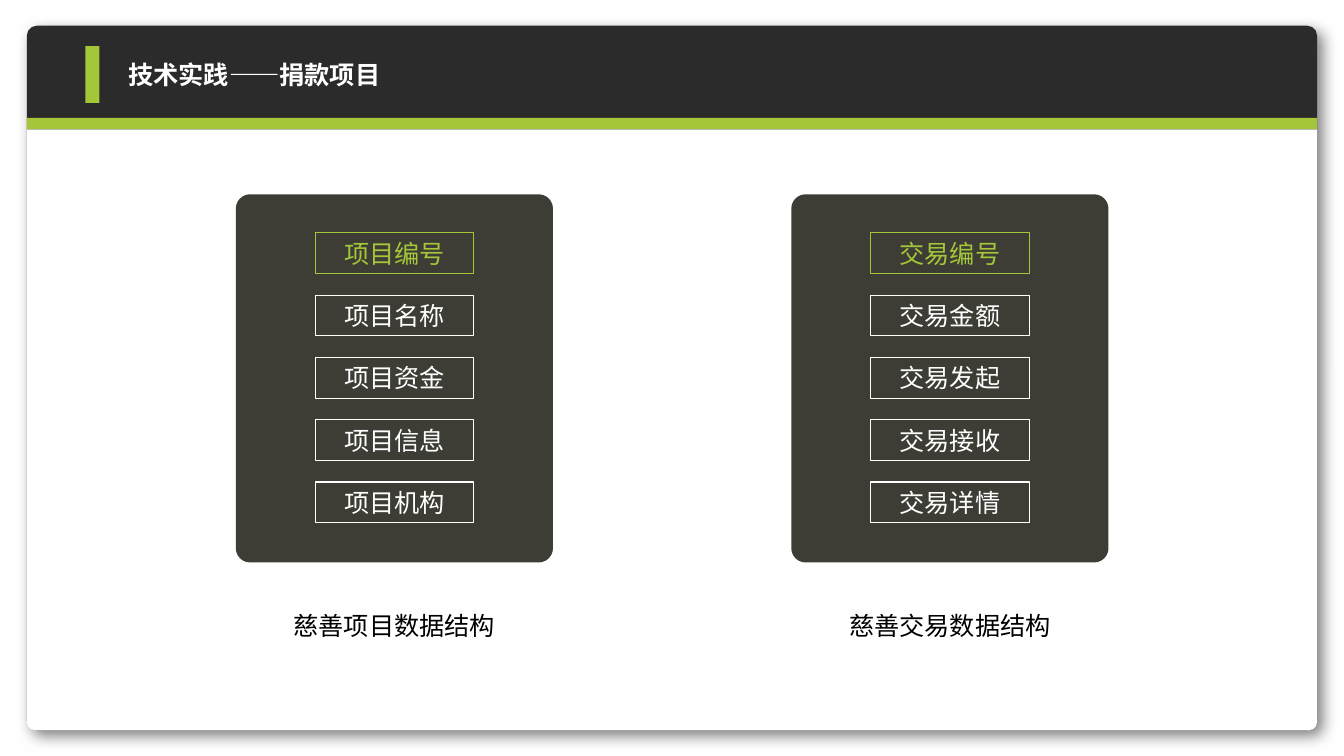
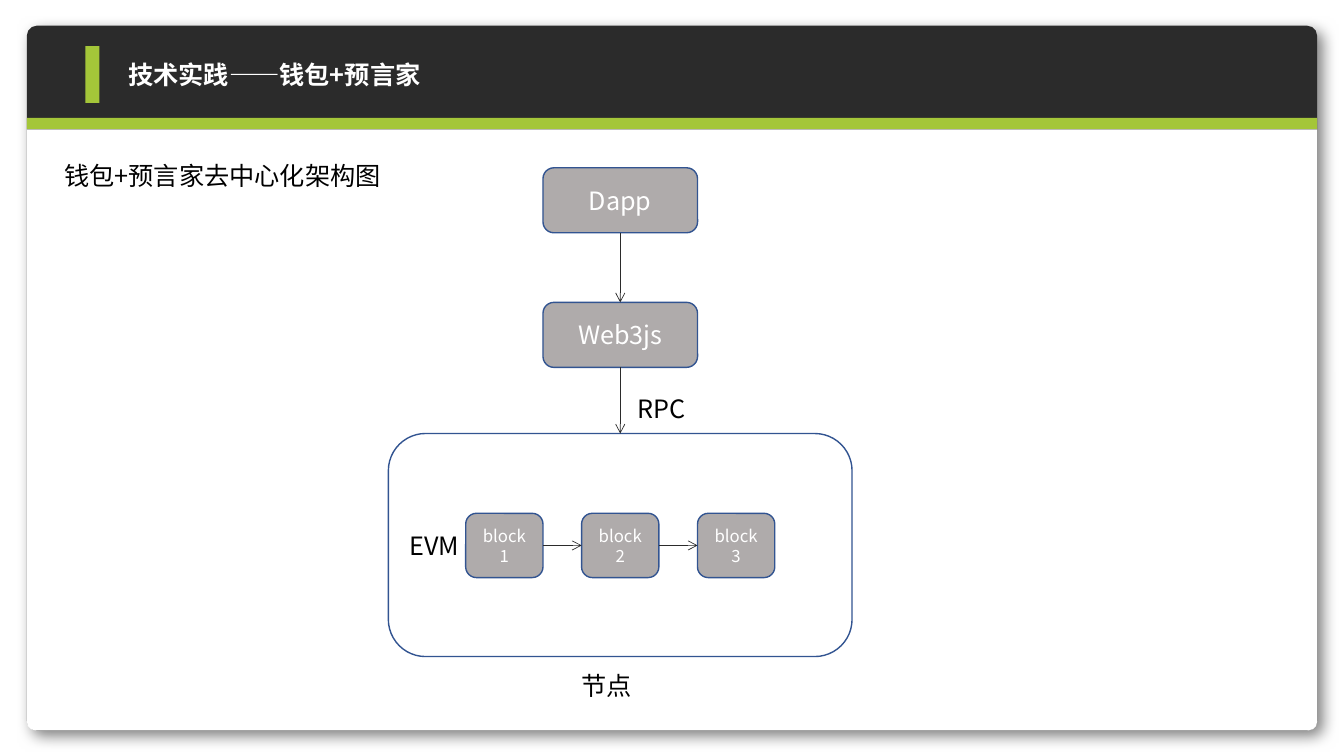
from dataclasses import dataclass
from typing import Optional

from lxml import etree
from pptx import Presentation
from pptx import util as u
from pptx.dml.color import RGBColor
from pptx.enum import shapes, text
from pptx.oxml import ns

FONT = "Noto Sans CJK SC"
WHITE = RGBColor(0xFF, 0xFF, 0xFF)
BLACK = RGBColor(0x00, 0x00, 0x00)
COAL = RGBColor(0x2B, 0x2B, 0x2B)
LIME = RGBColor(0xA4, 0xC6, 0x39)
OLIVE = RGBColor(0x3D, 0x3D, 0x36)
GREY = RGBColor(0xAF, 0xAB, 0xAB)
BLUE = RGBColor(0x32, 0x54, 0x91)

WIDE, HIGH = u.Inches(13.333), u.Inches(7.5)
RECT = shapes.MSO_SHAPE.RECTANGLE
ROUND = shapes.MSO_SHAPE.ROUNDED_RECTANGLE
FOOT = shapes.MSO_SHAPE.ROUND_2_SAME_RECTANGLE
LEFT, MID = text.PP_ALIGN.LEFT, text.PP_ALIGN.CENTER
TOP, BASE, SIDE, END = 0, 2, 1, 3


@dataclass(frozen=True)
class Box:
    """Shares of the slide, in percent."""
    x: float
    y: float
    w: float
    h: float

    def place(self) -> tuple:
        return (int(WIDE * self.x / 100), int(HIGH * self.y / 100),
                int(WIDE * self.w / 100), int(HIGH * self.h / 100))


@dataclass(frozen=True)
class Look:
    kind: shapes.MSO_SHAPE = RECT
    fill: Optional[RGBColor] = None
    line: Optional[RGBColor] = None
    width: float = 0.75
    adj: tuple = ()


@dataclass(frozen=True)
class Type:
    color: RGBColor = BLACK
    size: int = 18
    align: text.PP_ALIGN = LEFT
    bold: bool = False


@dataclass(frozen=True)
class Model:
    x: float
    name: str
    fields: tuple


CARD = Look(ROUND, OLIVE, adj=(0.045,))
NODE = Look(ROUND, GREY, BLUE, 1)
HULL = Look(ROUND, None, BLUE, 1)
PLAIN = Type()
NOTE = Type(align=MID)
LABEL = Type(WHITE, align=MID)
SMALL = Type(WHITE, 12, MID)
HEAD = Type(WHITE, bold=True)

MODELS = (
    Model(17.55, "慈善项目数据结构",
          ("项目编号", "项目名称", "项目资金", "项目信息", "项目机构")),
    Model(58.88, "慈善交易数据结构",
          ("交易编号", "交易金额", "交易发起", "交易接收", "交易详情")),
)


def write(frame, words: str, kind: Type) -> None:
    frame.word_wrap = True
    frame.vertical_anchor = text.MSO_ANCHOR.MIDDLE
    para = frame.paragraphs[0]
    para.text = words
    para.alignment = kind.align
    font = para.font
    font.name, font.size, font.bold = FONT, u.Pt(kind.size), kind.bold
    font.color.rgb = kind.color
    base = para._p.pPr.find(ns.qn("a:defRPr"))
    etree.SubElement(base, ns.qn("a:ea"), typeface=FONT)


def draw(slide, box: Box, look: Look, words: str = "", kind: Type = LABEL):
    shape = slide.shapes.add_shape(look.kind, *box.place())
    shape.shadow.inherit = False
    for i, value in enumerate(look.adj):
        shape.adjustments[i] = value
    if look.fill is None:
        shape.fill.background()
    else:
        shape.fill.solid()
        shape.fill.fore_color.rgb = look.fill
    if look.line is None:
        shape.line.fill.background()
    else:
        shape.line.color.rgb = look.line
        shape.line.width = u.Pt(look.width)
    if words:
        write(shape.text_frame, words, kind)
    return shape


def label(slide, box: Box, words: str, kind: Type = PLAIN) -> None:
    write(slide.shapes.add_textbox(*box.place()).text_frame, words, kind)


def arrow(slide, start, exit: int, stop, entry: int) -> None:
    link = slide.shapes.add_connector(
        shapes.MSO_CONNECTOR.STRAIGHT, 0, 0, 0, 0)
    link.begin_connect(start, exit)
    link.end_connect(stop, entry)
    link.line.color.rgb = COAL
    link.line.width = u.Pt(0.5)
    props = link.element.spPr
    etree.SubElement(props.find(ns.qn("a:ln")), ns.qn("a:tailEnd"),
                     type="arrow")
    etree.SubElement(props, ns.qn("a:effectLst"))


def shade(shape) -> None:
    glow = shape.element.spPr.find(ns.qn("a:effectLst"))
    cast = etree.SubElement(
        glow, ns.qn("a:outerShdw"), blurRad=str(u.Pt(11)),
        dist=str(u.Pt(6)), dir="2700000", algn="tl", rotWithShape="0")
    tone = etree.SubElement(cast, ns.qn("a:srgbClr"), val=str(COAL and BLACK))
    etree.SubElement(tone, ns.qn("a:alpha"), val="50000")


def dress(slide, layout) -> None:
    card = draw(slide, Box(2, 3.4, 96, 93.2), Look(ROUND, COAL, adj=(0.014,)))
    shade(card)
    parts = (
        card,
        draw(slide, Box(2, 15.6, 96, 1.5), Look(fill=LIME)),
        draw(slide, Box(2, 17.1, 96, 79.5),
             Look(FOOT, WHITE, adj=(0, 0.014))),
        draw(slide, Box(6.35, 6.1, 1.05, 7.5), Look(fill=LIME)),
    )
    for part in parts:
        layout.shapes.element.append(part.element)
    title = layout.placeholders[0]
    title.left, title.top, title.width, title.height = Box(
        8.8, 6.1, 42.9, 7.5).place()


def entitle(slide, words: str) -> None:
    write(slide.shapes.title.text_frame, words, HEAD)


def models(slide) -> None:
    entitle(slide, "技术实践——捐款项目")
    wide, cell, step = 23.6, 11.8, 8.24
    for model in MODELS:
        draw(slide, Box(model.x, 25.7, wide, 48.7), CARD)
        for i, name in enumerate(model.fields):
            tone = WHITE if i else LIME
            box = Box(model.x + (wide - cell) / 2, 30.8 + i * step, cell, 5.4)
            draw(slide, box, Look(line=tone), name, Type(tone, align=MID))
        label(slide, Box(model.x, 80, wide, 5.4), model.name, NOTE)


def chain(slide) -> None:
    entitle(slide, "技术实践——钱包+预言家")
    axis, unit = 46.15, 11.5
    stack = [draw(slide, Box(axis - unit / 2, 22.2 + i * 17.8, unit, 8.6),
                  NODE, name)
             for i, name in enumerate(("Dapp", "Web3js"))]
    stack.append(draw(slide, Box(axis - unit * 1.5, 57.35, unit * 3, 29.5),
                      HULL, "EVM", PLAIN))
    blocks = [draw(slide, Box(axis - unit / 4 + (i - 2) * unit * 0.75, 67.9,
                              unit / 2, 8.5), NODE, f"block{i}", SMALL)
              for i in (1, 2, 3)]
    for row, exit, entry in ((stack, BASE, TOP), (blocks, END, SIDE)):
        for start, stop in zip(row, row[1:]):
            arrow(slide, start, exit, stop, entry)
    label(slide, Box(46.7, 51.3, 8, 5.4), "RPC")
    label(slide, Box(42.5, 88, 12.9, 5.4), "节点")
    label(slide, Box(4.05, 20.5, 28, 5.4), "钱包+预言家去中心化架构图")


def main() -> None:
    deck = Presentation()
    deck.slide_width, deck.slide_height = WIDE, HIGH
    layout = deck.slide_layouts[5]
    first = deck.slides.add_slide(layout)
    dress(first, layout)
    models(first)
    chain(deck.slides.add_slide(layout))
    deck.save("out.pptx")


if __name__ == "__main__":
    main()
